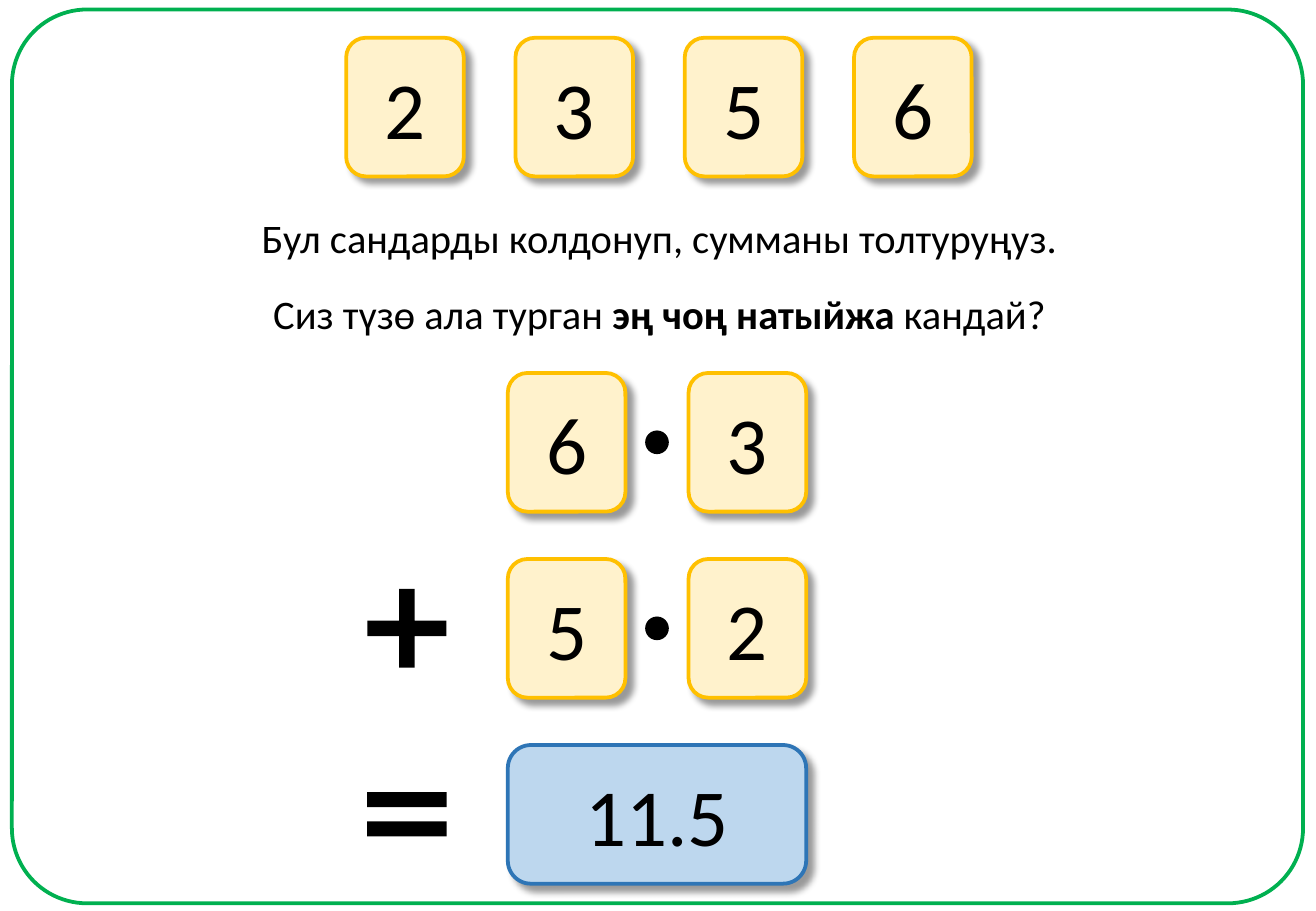
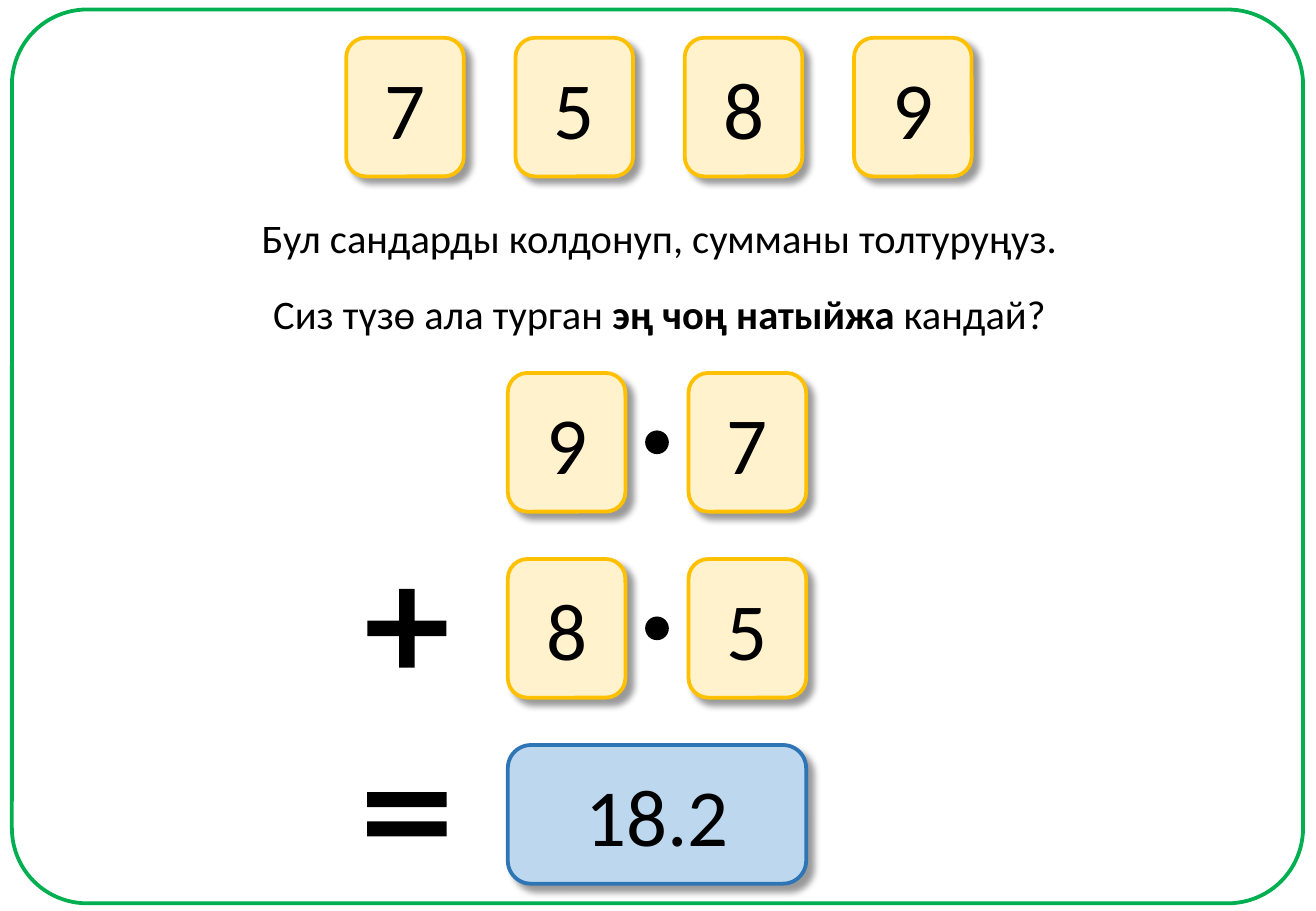
from dataclasses import dataclass

from lxml.etree import SubElement
from pptx import Presentation
from pptx.dml.color import RGBColor as Color
from pptx.enum.shapes import MSO_SHAPE as Preset
from pptx.enum.text import MSO_ANCHOR as Anchor, MSO_AUTO_SIZE as AutoSize, PP_ALIGN as Align
from pptx.oxml.ns import qn
from pptx.util import Cm, Pt


@dataclass(frozen=True)
class Theme:
    font: str = "Calibri"
    ink: str = "000000"
    frame: str = "00B050"
    card_fill: str = "FFF2CC"
    card_line: str = "FFC000"
    result_fill: str = "BDD7EE"
    result_line: str = "2E75B6"
    number_size: int = 48
    body_size: int = 24
    outline: float = 2.25
    dot_outline: float = 1


theme = Theme()


def add_block(shapes, preset, box, fill=None, line=None, width=theme.outline, adjustments=()):
    shape = shapes.add_shape(preset, *(Cm(length) for length in box))
    shape.shadow.inherit = False
    for index, value in enumerate(adjustments):
        shape.adjustments[index] = value
    if fill:
        shape.fill.solid()
        shape.fill.fore_color.rgb = Color.from_string(fill)
    else:
        shape.fill.background()
    if line:
        shape.line.color.rgb = Color.from_string(line)
        shape.line.width = Pt(width)
    else:
        shape.line.fill.background()
    return shape


def add_card(shapes, text, box, fill=theme.card_fill, line=theme.card_line):
    card = add_block(shapes, Preset.ROUNDED_RECTANGLE, box, fill, line)
    effects = card.element.spPr.find(qn("a:effectLst"))
    shadow = SubElement(effects, qn("a:outerShdw"), blurRad=str(Pt(4)), dist=str(Pt(5)),
                        dir="2700000", algn="tl", rotWithShape="0")
    shadow_color = SubElement(shadow, qn("a:srgbClr"), val=theme.ink)
    SubElement(shadow_color, qn("a:alpha"), val="40000")
    card.text_frame.text = text
    card.text_frame.vertical_anchor = Anchor.MIDDLE
    paragraph = card.text_frame.paragraphs[0]
    paragraph.alignment = Align.CENTER
    font = paragraph.runs[0].font
    font.name, font.size = theme.font, Pt(theme.number_size)
    font.color.rgb = Color.from_string(theme.ink)


card_width, card_height = 2.46, 2.9
number_left, number_top, number_pitch = 7.24, 0.79, 3.54
sum_left, sum_top = 10.62, 7.8
column_pitch, row_pitch = 3.78, 3.89
result_width = column_pitch + card_width
sum_center = sum_left + result_width / 2
sign_center = 8.51
dot_size = 0.46
text_center, text_height = 13.79, 1.28

instructions = [
    (4.32, 17.32, [("Бул сандарды колдонуп, сумманы толтуруңуз.", False)]),
    (5.92, 16.81, [("Сиз түзө ала турган ", False), ("эң чоң натыйжа ", True), ("кандай?", False)]),
]
signs = [
    (Preset.MATH_PLUS, 1, 2.24, 2.24, [0.144]),
    (Preset.MATH_EQUAL, 2, 2.26, 2.54, [0.123, 0.118]),
]
puzzles = [
    ("2356", ["63", "52"], "11.5"),
    ("7589", ["97", "85"], "18.2"),
]

presentation = Presentation()
presentation.slide_width, presentation.slide_height = Cm(27.52), Cm(19.05)

for numbers, terms, result in puzzles:
    slide = presentation.slides.add_slide(presentation.slide_layouts[6])
    add_block(slide.shapes, Preset.ROUNDED_RECTANGLE, (0.25, 0.2, 27, 18.69),
              line=theme.frame, adjustments=[0.084])

    for top, width, parts in instructions:
        box = slide.shapes.add_textbox(Cm(text_center - width / 2), Cm(top), Cm(width), Cm(text_height))
        box.text_frame.word_wrap = False
        box.text_frame.auto_size = AutoSize.SHAPE_TO_FIT_TEXT
        paragraph = box.text_frame.paragraphs[0]
        paragraph.alignment = Align.CENTER
        for text, bold in parts:
            run = paragraph.add_run()
            run.text = text
            run.font.name, run.font.size, run.font.bold = theme.font, Pt(theme.body_size), bold
            run.font.color.rgb = Color.from_string(theme.ink)

    number_cards = slide.shapes.add_group_shape()
    for index, number in enumerate(numbers):
        add_card(number_cards.shapes, number,
                 (number_left + index * number_pitch, number_top, card_width, card_height))

    for row, term in enumerate(terms):
        top = sum_top + row * row_pitch
        for column, digit in enumerate(term):
            add_card(slide.shapes, digit,
                     (sum_left + column * column_pitch, top, card_width, card_height))
        add_block(slide.shapes, Preset.OVAL,
                  (sum_center - dot_size / 2, top + (card_height - dot_size) / 2, dot_size, dot_size),
                  theme.ink, theme.ink, theme.dot_outline)

    add_card(slide.shapes, result, (sum_left, sum_top + 2 * row_pitch, result_width, card_height),
             theme.result_fill, theme.result_line)

    for preset, row, width, height, adjustments in signs:
        top = sum_top + row * row_pitch + (card_height - height) / 2
        add_block(slide.shapes, preset, (sign_center - width / 2, top, width, height),
                  theme.ink, adjustments=adjustments)

presentation.save("out.pptx")
